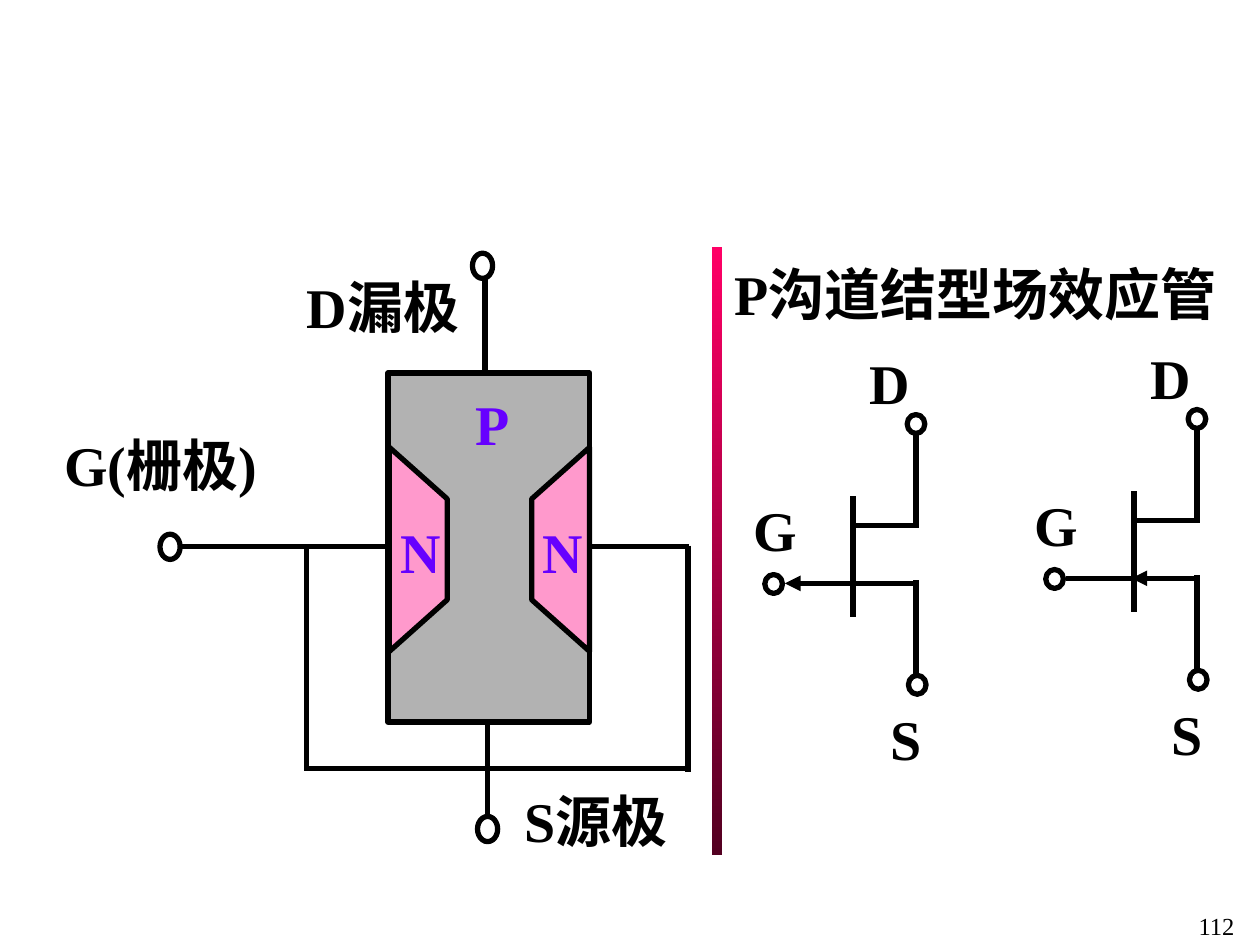
from dataclasses import dataclass

import lxml.etree
import pptx
import pptx.dml.color
import pptx.enum.shapes
import pptx.enum.text
import pptx.oxml.ns
import pptx.util

Inches = pptx.util.Inches
Pt = pptx.util.Pt
RGBColor = pptx.dml.color.RGBColor
MSO_SHAPE = pptx.enum.shapes.MSO_SHAPE
PP_ALIGN = pptx.enum.text.PP_ALIGN
qn = pptx.oxml.ns.qn

BLACK = RGBColor(0x00, 0x00, 0x00)
GREY = RGBColor(0xB2, 0xB2, 0xB2)
PINK = RGBColor(0xFF, 0x99, 0xCC)
VIOLET = RGBColor(0x66, 0x00, 0xFF)
ROSE = RGBColor(0xFF, 0x00, 0x66)
MAROON = RGBColor(0x53, 0x00, 0x21)
FONT = "Times New Roman"


@dataclass
class Wire:
    x1: float
    y1: float
    x2: float
    y2: float
    arrow: bool = False


@dataclass
class Terminal:
    x: float
    y: float
    w: float = 0.14
    h: float = 0.15


@dataclass
class Label:
    text: str
    x: float
    y: float
    w: float = 0.54
    h: float = 0.64
    color: RGBColor = BLACK
    size: int = 32
    bold: bool = True
    align: PP_ALIGN = PP_ALIGN.CENTER


def outline(sp) -> None:
    sp.shadow.inherit = False
    sp.line.color.rgb = BLACK
    sp.line.width = Pt(3)


def add_wire(shapes, wire: Wire, dx: float = 0, dy: float = 0) -> None:
    sp = shapes.add_connector(
        pptx.enum.shapes.MSO_CONNECTOR.STRAIGHT,
        Inches(wire.x1 + dx), Inches(wire.y1 + dy),
        Inches(wire.x2 + dx), Inches(wire.y2 + dy))
    sp.line.color.rgb = BLACK
    sp.line.width = Pt(3)
    if wire.arrow:
        lxml.etree.SubElement(sp.line._get_or_add_ln(), qn("a:headEnd"), type="triangle")
    lxml.etree.SubElement(sp._element.spPr, qn("a:effectLst"))


def add_terminal(shapes, t: Terminal, dx: float = 0, dy: float = 0) -> None:
    sp = shapes.add_shape(MSO_SHAPE.OVAL, Inches(t.x + dx), Inches(t.y + dy),
                          Inches(t.w), Inches(t.h))
    sp.fill.background()
    outline(sp)


def add_label(shapes, label: Label, dx: float = 0, dy: float = 0) -> None:
    sp = shapes.add_textbox(Inches(label.x + dx), Inches(label.y + dy),
                            Inches(label.w), Inches(label.h))
    tf = sp.text_frame
    tf.word_wrap = True
    tf.vertical_anchor = pptx.enum.text.MSO_ANCHOR.MIDDLE
    tf.text = label.text
    p = tf.paragraphs[0]
    p.alignment = label.align
    font = p.runs[0].font
    font.name = FONT
    font.size = Pt(label.size)
    font.bold = label.bold
    font.color.rgb = label.color


def add_region(shapes, outer: float, inner: float) -> None:
    points = [(outer, 3.55), (outer, 5.17), (inner, 4.76), (inner, 3.96)]
    corners = [(Inches(x), Inches(y)) for x, y in points]
    builder = shapes.build_freeform(*corners[0])
    builder.add_line_segments(corners[1:], close=True)
    sp = builder.convert_to_shape()
    sp.fill.solid()
    sp.fill.fore_color.rgb = PINK
    outline(sp)


def add_circuit(shapes, wires: list[Wire], terminals: list[Terminal],
                labels: list[Label], dx: float = 0, dy: float = 0) -> None:
    for wire in wires:
        add_wire(shapes, wire, dx, dy)
    for terminal in terminals:
        add_terminal(shapes, terminal, dx, dy)
    for label in labels:
        add_label(shapes, label, dx, dy)


STRUCTURE_WIRES = [
    Wire(3.85, 2.2, 3.85, 2.97),
    Wire(3.87, 5.73, 3.87, 6.5),
    Wire(4.68, 4.34, 5.47, 4.34),
    Wire(5.46, 4.33, 5.46, 6.13),
    Wire(5.46, 6.1, 2.41, 6.1),
    Wire(3.07, 4.34, 1.42, 4.34),
    Wire(2.43, 6.09, 2.43, 4.34),
]
STRUCTURE_TERMINALS = [Terminal(x, y, 0.16, 0.2)
                       for x, y in [(1.27, 4.24), (3.75, 2.01), (3.79, 6.48)]]
STRUCTURE_LABELS = [
    Label("P", 3.4, 3.04, 1.02, color=VIOLET),
    Label("N", 3.08, 4.05, 0.46, color=VIOLET),
    Label("N", 4.21, 4.05, 0.46, color=VIOLET),
    Label("G(栅极)", 0.38, 3.1, 1.79, 1.17),
    Label("S源极", 3.73, 6.19, 2),
    Label("D漏极", 2.02, 2.11, 2.04),
]
SYMBOL_TERMINALS = [Terminal(6.07, 4.56), Terminal(7.2, 3.29), Terminal(7.21, 5.36)]
SYMBOL_LABELS = [Label("D", 6.79, 2.71), Label("G", 5.88, 3.88), Label("S", 6.92, 5.54)]


def symbol_wires(arrow_at_gate: bool) -> list[Wire]:
    return [
        Wire(6.77, 3.94, 6.77, 4.9),
        Wire(6.75, 4.17, 7.29, 4.17),
        Wire(7.27, 4.19, 7.27, 3.42),
        Wire(6.75, 4.63, 7.29, 4.63, arrow=not arrow_at_gate),
        Wire(7.27, 5.38, 7.27, 4.6),
        Wire(6.23, 4.63, 6.77, 4.63, arrow=arrow_at_gate),
    ]


def add_structure(shapes) -> None:
    sp = shapes.add_shape(MSO_SHAPE.RECTANGLE, Inches(3.08), Inches(2.96),
                          Inches(1.6), Inches(2.77))
    sp.fill.solid()
    sp.fill.fore_color.rgb = GREY
    outline(sp)
    add_region(shapes, 3.09, 3.55)
    add_region(shapes, 4.68, 4.22)
    add_circuit(shapes, STRUCTURE_WIRES, STRUCTURE_TERMINALS, STRUCTURE_LABELS)


def add_divider(shapes) -> None:
    sp = shapes.add_shape(MSO_SHAPE.RECTANGLE, Inches(5.65), Inches(1.96),
                          Inches(0.08), Inches(4.83))
    sp.shadow.inherit = False
    sp.line.fill.background()
    sp.fill.gradient()
    sp.fill.gradient_angle = 270
    for stop, color, position in zip(sp.fill.gradient_stops, (ROSE, MAROON), (0, 1)):
        stop.color.rgb = color
        stop.position = position


def main() -> None:
    prs = pptx.Presentation()
    prs.slide_width = Inches(10)
    prs.slide_height = Inches(7.5)
    s = prs.slides.add_slide(prs.slide_layouts[6])
    add_structure(s.shapes.add_group_shape().shapes)
    add_divider(s.shapes)
    add_label(s.shapes, Label("P沟道结型场效应管", 5.73, 2.01, 4.27, align=PP_ALIGN.LEFT))
    for arrow_at_gate, dx, dy in [(True, 0, 0), (False, 2.23, -0.04)]:
        add_circuit(s.shapes.add_group_shape().shapes, symbol_wires(arrow_at_gate),
                    SYMBOL_TERMINALS, SYMBOL_LABELS, dx, dy)
    add_label(s.shapes, Label("112", 8.69, 7.18, 1.93, 0.33, size=14, bold=False))
    prs.save("out.pptx")


if __name__ == "__main__":
    main()
